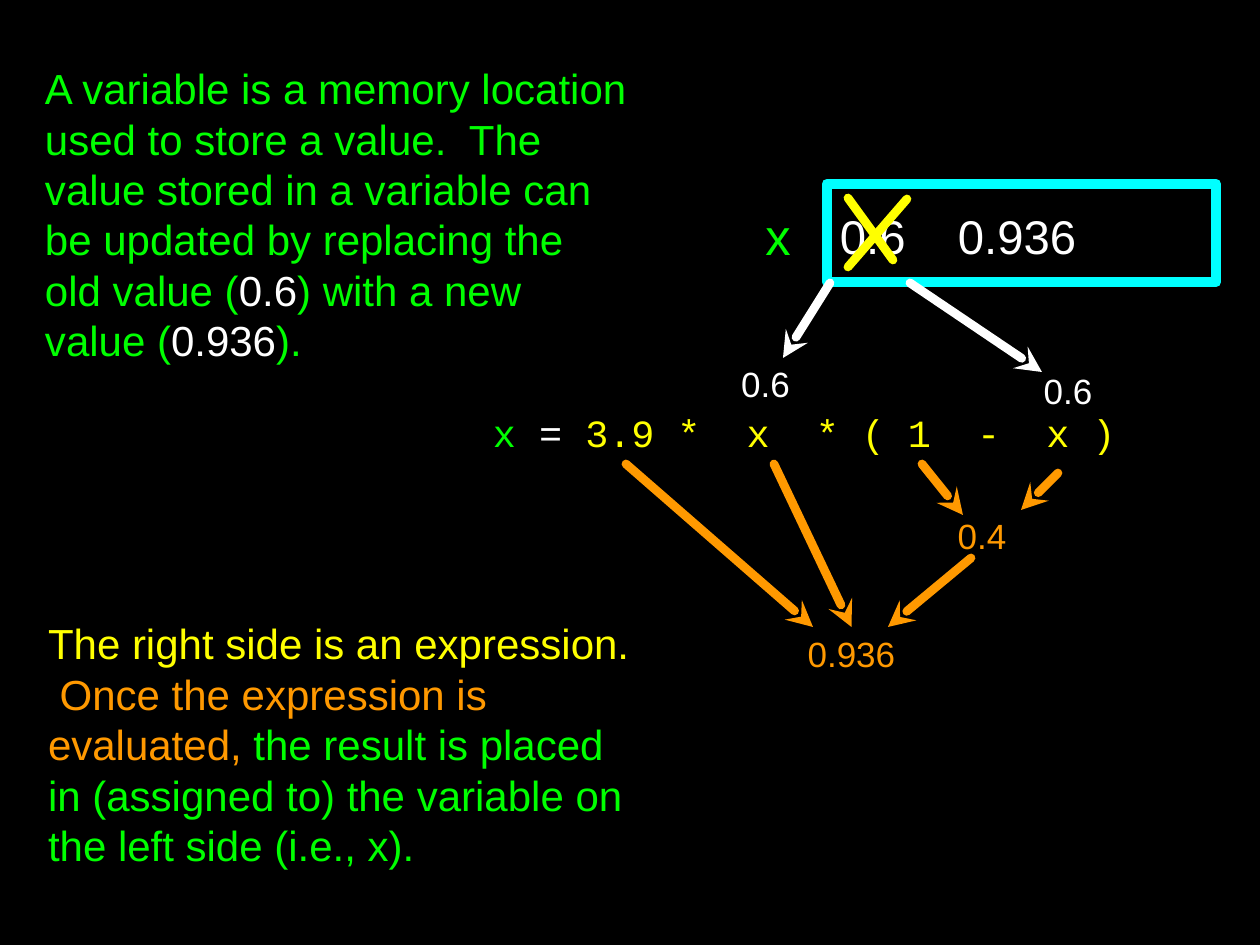
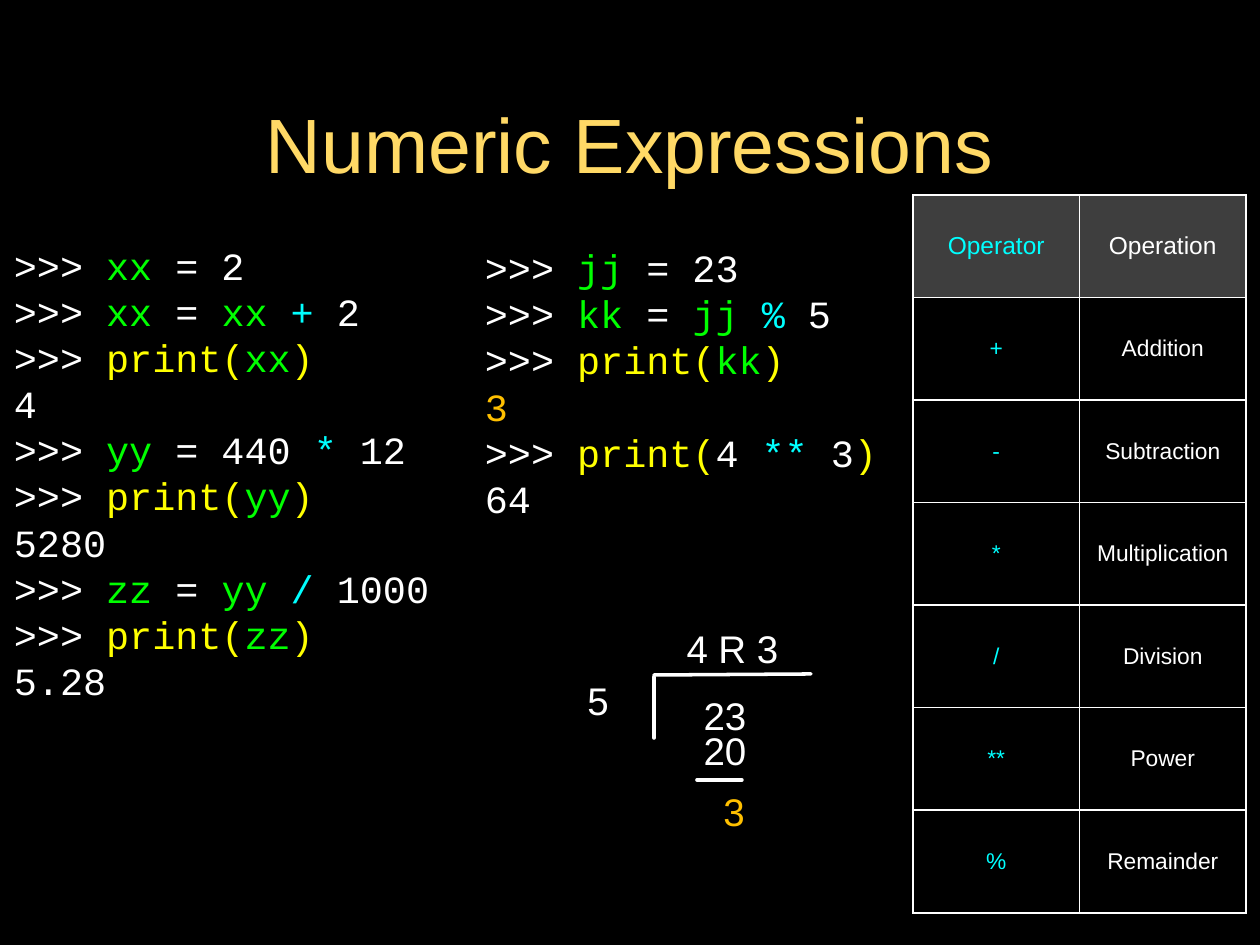
import pptx
import pptx.util
import pptx.dml.color
import pptx.enum.shapes
import pptx.enum.text
import pptx.oxml
import pptx.oxml.ns
from lxml import etree

RGB = pptx.dml.color.RGBColor
BLACK = RGB(0x00, 0x00, 0x00)
WHITE = RGB(0xFF, 0xFF, 0xFF)
GREEN = RGB(0x00, 0xFF, 0x00)
YELLOW = RGB(0xFF, 0xFF, 0x00)
ORANGE = RGB(0xFF, 0x99, 0x00)
CYAN = RGB(0x00, 0xFF, 0xFF)
AMBER = RGB(0xFF, 0xC0, 0x00)
GOLD = RGB(0xFF, 0xD9, 0x66)
GREY = RGB(0x7F, 0x7F, 0x7F)

SANS, MONO = "Arial", "Courier New"
LEFT = pptx.enum.text.PP_ALIGN.LEFT
CENTER = pptx.enum.text.PP_ALIGN.CENTER
MIDDLE = pptx.enum.text.MSO_ANCHOR.MIDDLE
LINE_HEIGHT = 1.2
# Top inset in px per point of text, which sets the baseline of each font
TOP_INSET = {SANS: 0.2, MONO: 0.55}

PROMPT = (">>> ", WHITE)


def px(length):
    return pptx.util.Emu(round(length * 914400 / 126))


def add_child(parent, tag, **attributes):
    child = etree.SubElement(parent, pptx.oxml.ns.qn(tag))
    for name, value in attributes.items():
        child.set(name, str(value))
    return child


def add_page(deck):
    page = deck.slides.add_slide(deck.slide_layouts[6])
    page.background.fill.solid()
    page.background.fill.fore_color.rgb = BLACK
    return page


def fill_frame(frame, lines, size, font=SANS, align=LEFT):
    """Write lines, each a list of (text, colour) spans, into a text frame."""
    frame.word_wrap = True
    frame.vertical_anchor = MIDDLE
    frame.margin_left = frame.margin_right = frame.margin_bottom = 0
    frame.margin_top = px(size * TOP_INSET[font])
    for index, spans in enumerate(lines):
        para = frame.add_paragraph() if index else frame.paragraphs[0]
        para.alignment = align
        para.line_spacing = pptx.util.Pt(size * LINE_HEIGHT)
        for text, color in spans:
            span = para.add_run()
            span.text = text
            span.font.name = font
            span.font.size = pptx.util.Pt(size)
            span.font.color.rgb = color


def add_text(page, box, lines, size, font=SANS, align=LEFT):
    shape = page.shapes.add_textbox(*map(px, box))
    fill_frame(shape.text_frame, lines, size, font, align)
    return shape


def add_label(page, box, text, color, size):
    return add_text(page, box, [[(text, color)]], size, align=CENTER)


def add_line(page, origin, ends, color, width, arrow=False):
    """Draw a line between ends (x1, y1, x2, y2), measured from origin."""
    left, top = origin
    x1, y1, x2, y2 = ends
    line = page.shapes.add_connector(
        pptx.enum.shapes.MSO_CONNECTOR.STRAIGHT,
        px(left + x1), px(top + y1), px(left + x2), px(top + y2))
    line.line.color.rgb = color
    line.line.width = pptx.util.Pt(width)
    stroke = line.line._get_or_add_ln()
    stroke.set("cap", "rnd")
    if arrow:
        add_child(stroke, "a:tailEnd", type="stealth")
    add_child(line._element.spPr, "a:effectLst")
    return line


def add_value_box(page, box, old_value, new_value):
    shape = page.shapes.add_shape(
        pptx.enum.shapes.MSO_SHAPE.RECTANGLE, *map(px, box))
    shape.shadow.inherit = False
    shape.fill.background()
    shape.line.color.rgb = CYAN
    shape.line.width = pptx.util.Pt(6)
    frame = shape.text_frame
    properties = frame.paragraphs[0]._p.get_or_add_pPr()
    stops = add_child(properties, "a:tabLst")
    add_child(stops, "a:tab", pos=px(118), algn="l")
    fill_frame(frame, [[(f"{old_value}\t{new_value}", WHITE)]], 27)
    frame.margin_left = px(13)


def add_assignment_diagram(page, left, top):
    origin = left, top
    add_text(page, (left, top + 198, 685, 89),
             [[("x ", GREEN), ("= ", WHITE),
               ("3.9 *  x  * ( 1  -  x )", YELLOW)]], 22, MONO)
    add_value_box(page, (left + 334, top, 389, 98), "0.6", "0.936")
    add_label(page, (left + 268, top + 15, 34, 67), "x", GREEN, 29)

    for x, y, width, text, color in [(238, 174, 69, "0.6", WHITE),
                                     (534, 181, 82, "0.6", WHITE),
                                     (448, 326, 82, "0.4", ORANGE)]:
        add_label(page, (left + x, top + y, width, 48), text, color, 20)
    result = add_label(page, (left + 291, top + 443, 135, 48),
                       "0.936", ORANGE, 20)

    for ends in [(414, 15, 355, 83), (355, 14, 400, 76)]:
        add_line(page, origin, ends, YELLOW, 5)
    for ends in [(337, 99, 290, 174), (417, 99, 549, 188)]:
        add_line(page, origin, ends, WHITE, 5, arrow=True)
    for ends in [(478, 374, 395, 443), (565, 289, 528, 326),
                 (429, 280, 470, 331), (133, 280, 320, 443)]:
        add_line(page, origin, ends, ORANGE, 5, arrow=True)
    factor_arrow = add_line(page, origin, (281, 280, 358, 443),
                            ORANGE, 5, arrow=True)
    factor_arrow.end_connect(result, 0)


def build_variable_page(deck):
    page = add_page(deck)
    add_text(page, (45, 42, 585, 339), [[
        ("A variable is a memory location used to store a value.  The value "
         "stored in a variable can be updated by replacing the old value (",
         GREEN),
        ("0.6", WHITE), (") with a new value (", GREEN),
        ("0.936", WHITE), (").", GREEN)]], 24)
    add_text(page, (48, 572, 585, 339), [[
        ("The right side is an expression.  ", YELLOW),
        ("Once the expression is evaluated, ", ORANGE),
        ("the result is placed in (assigned to) the variable on the left "
         "side (i.e., x).", GREEN)]], 24)
    add_assignment_diagram(page, 493, 184)


def print_call(name):
    return [PROMPT, ("print(", YELLOW), (name, GREEN), (")", YELLOW)]


def assignment(target, *value):
    return [PROMPT, (target, GREEN), (" = ", WHITE), *value]


def output(text, color=WHITE):
    return [(text, color)]


def add_long_division(page, left, top):
    for x, y, width, text, color in [(0, 52, 26, "5", WHITE),
                                     (90, 0, 115, "4 R 3", WHITE),
                                     (118, 67, 44, "23", WHITE),
                                     (118, 102, 44, "20", WHITE),
                                     (136, 163, 26, "3", AMBER)]:
        add_label(page, (left + x, top + y, width, 48), text, color, 22)
    for ends in [(69, 55, 69, 116), (69, 53, 226, 52), (112, 158, 157, 158)]:
        add_line(page, (left, top), ends, WHITE, 2)


def style_cell(cell, text, color, is_header):
    cell.text_frame.text = text
    cell.vertical_anchor = MIDDLE
    cell.margin_left = cell.margin_right = px(2)
    cell.margin_top = cell.margin_bottom = px(6)
    para = cell.text_frame.paragraphs[0]
    para.alignment = CENTER
    font = para.runs[0].font
    font.name = SANS
    font.size = pptx.util.Pt(14 if is_header else 13)
    font.color.rgb = color

    properties = cell._tc.get_or_add_tcPr()
    for side in ("a:lnL", "a:lnR", "a:lnT", "a:lnB"):
        border = add_child(properties, side, w=pptx.util.Pt(0.96))
        paint = add_child(border, "a:solidFill")
        add_child(paint, "a:srgbClr", val=WHITE)
    if is_header:
        cell.fill.solid()
        cell.fill.fore_color.rgb = GREY
        shade = properties.find(
            pptx.oxml.ns.qn("a:solidFill")).find(pptx.oxml.ns.qn("a:srgbClr"))
        add_child(shade, "a:alpha", val=49000)
    else:
        cell.fill.background()


def add_operator_table(page, box):
    rows = [("Operator", "Operation"), ("+", "Addition"),
            ("-", "Subtraction"), ("*", "Multiplication"),
            ("/", "Division"), ("**", "Power"), ("%", "Remainder")]
    table = page.shapes.add_table(len(rows), 2, *map(px, box)).table
    for row, texts in enumerate(rows):
        for column, (text, color) in enumerate(zip(texts, (CYAN, WHITE))):
            style_cell(table.cell(row, column), text, color, row == 0)


def build_expressions_page(deck):
    page = add_page(deck)
    add_label(page, (63, 81, 1134, 115), "Numeric Expressions", GOLD, 44)
    add_text(page, (14, 195, 428, 543), [
        assignment("xx", ("2", WHITE)),
        assignment("xx", ("xx ", GREEN), ("+", CYAN), (" 2", WHITE)),
        print_call("xx"),
        output("4"),
        assignment("yy", ("440 ", WHITE), ("*", CYAN), (" 12", WHITE)),
        print_call("yy"),
        output("5280"),
        assignment("zz", ("yy ", GREEN), ("/", CYAN), (" 1000", WHITE)),
        print_call("zz"),
        output("5.28")], 22, MONO)
    add_text(page, (485, 207, 406, 339), [
        assignment("jj", ("23", WHITE)),
        assignment("kk", ("jj ", GREEN), ("% ", CYAN), ("5", WHITE)),
        print_call("kk"),
        output("3", AMBER),
        [PROMPT, ("print(", YELLOW), ("4 ", WHITE), ("**", CYAN),
         (" 3", WHITE), (")", YELLOW)],
        output("64")], 22, MONO)
    add_long_division(page, 585, 622)
    add_operator_table(page, (913, 195, 333, 718))


def main():
    deck = pptx.Presentation()
    deck.slide_width, deck.slide_height = px(1260), px(945)
    build_variable_page(deck)
    build_expressions_page(deck)
    deck.save("out.pptx")


if __name__ == "__main__":
    main()
